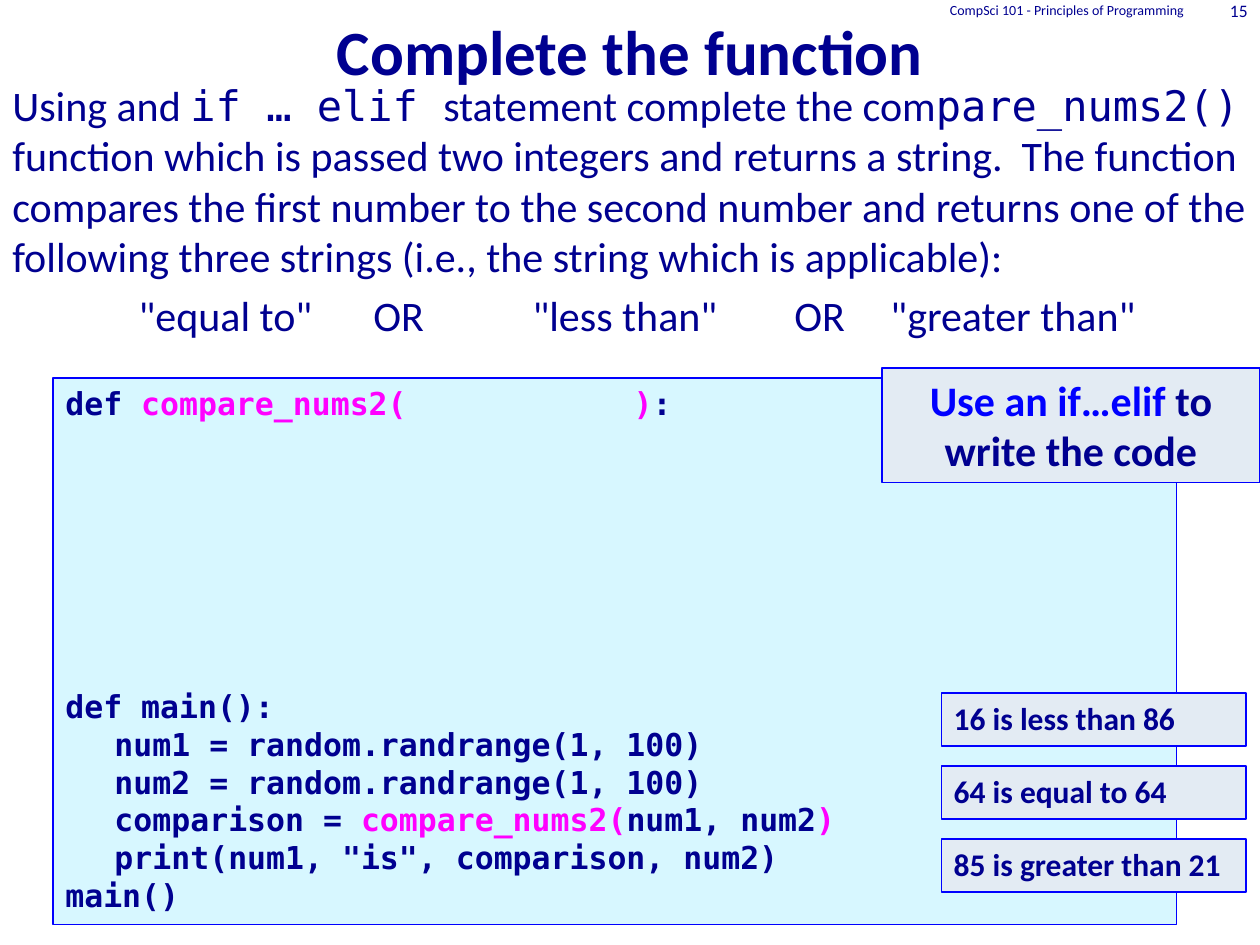
"""Build the slide of a compare_nums2() coding exercise."""
from dataclasses import dataclass

from lxml import etree
from pptx import Presentation
from pptx.dml.color import RGBColor
from pptx.enum.shapes import MSO_SHAPE
from pptx.enum.text import MSO_ANCHOR, MSO_AUTO_SIZE, PP_ALIGN
from pptx.oxml.ns import qn
from pptx.util import Inches, Pt

RECTANGLE = MSO_SHAPE.RECTANGLE
LEFT, CENTER, RIGHT = PP_ALIGN.LEFT, PP_ALIGN.CENTER, PP_ALIGN.RIGHT
TOP, MIDDLE, BOTTOM = MSO_ANCHOR.TOP, MSO_ANCHOR.MIDDLE, MSO_ANCHOR.BOTTOM
NO_FIT, GROW = MSO_AUTO_SIZE.NONE, MSO_AUTO_SIZE.SHAPE_TO_FIT_TEXT


@dataclass(frozen=True)
class Theme:
    prose: str = "Calibri"
    mono: str = "DejaVu Sans Mono"
    navy: str = "000090"
    blue: str = "0000FF"
    magenta: str = "FF00FF"
    code_fill: str = "D7F7FF"
    note_fill: str = "E3EBF3"
    title: float = 36
    body: float = 24
    code: float = 18
    number: float = 10
    footer: float = 8
    border: float = 0.75


THEME = Theme()


@dataclass(frozen=True)
class Box:
    left: float
    top: float
    width: float
    height: float


@dataclass(frozen=True)
class Span:
    text: str
    font: str = THEME.prose
    color: str = THEME.navy


@dataclass(frozen=True)
class Line:
    spans: tuple[Span, ...]
    tab: float = 0
    space_before: float = 0


def code(text: str, color: str = THEME.navy) -> Span:
    """Return a span in the code font."""
    return Span(text, THEME.mono, color)


def plain(text: str) -> list[Line]:
    """Return a single line of prose."""
    return [Line((Span(text),))]


def set_tab(paragraph, position: float) -> None:
    """Give a paragraph one left tab stop."""
    stops = etree.SubElement(paragraph._p.get_or_add_pPr(), qn("a:tabLst"))
    etree.SubElement(stops, qn("a:tab"), pos=str(Inches(position)), algn="l")


def add_text(slide, box: Box, lines: list[Line], *, size: float, bold: bool = False,
             align=LEFT, anchor=TOP, fit=NO_FIT, fill: str = "") -> None:
    """Draw lines of text, in a bordered rectangle when a fill is given."""
    place = [Inches(n) for n in (box.left, box.top, box.width, box.height)]
    if fill:
        holder = slide.shapes.add_shape(RECTANGLE, *place)
        holder.shadow.inherit = False
        holder.fill.solid()
        holder.fill.fore_color.rgb = RGBColor.from_string(fill)
        holder.line.color.rgb = RGBColor.from_string(THEME.blue)
        holder.line.width = Pt(THEME.border)
    else:
        holder = slide.shapes.add_textbox(*place)
    frame = holder.text_frame
    frame.word_wrap = True
    frame.auto_size = fit
    frame.vertical_anchor = anchor
    for index, line in enumerate(lines):
        paragraph = frame.add_paragraph() if index else frame.paragraphs[0]
        paragraph.alignment = align
        if line.space_before:
            paragraph.space_before = Pt(line.space_before)
        if line.tab:
            set_tab(paragraph, line.tab)
        for span in line.spans:
            run = paragraph.add_run()
            run.text = span.text
            run.font.name = span.font
            run.font.size = Pt(size)
            run.font.bold = bold
            run.font.color.rgb = RGBColor.from_string(span.color)


def add_heading(slide) -> None:
    """Draw the title, footer and slide number."""
    add_text(slide, Box(0, 0, 10, 0.75), plain("Complete the function"),
             size=THEME.title, bold=True, align=CENTER, anchor=BOTTOM)
    add_text(slide, Box(6.17, -0.17, 3.33, 0.5),
             plain("CompSci 101 - Principles of Programming"),
             size=THEME.footer, align=RIGHT, anchor=MIDDLE)
    add_text(slide, Box(9.42, 0, 0.58, 0.17), plain("15"),
             size=THEME.number, align=RIGHT, anchor=MIDDLE)


def add_task(slide) -> None:
    """Draw the exercise text and the three possible strings."""
    task = Line((
        Span("Using and "),
        code("if … elif "),
        Span("statement complete the com"),
        code("pare_nums2() "),
        Span("function which is passed two integers and returns a string.  "
             "The function compares the first number to the second number and "
             "returns one of the following three strings (i.e., the string "
             "which is applicable):"),
    ))
    add_text(slide, Box(0, 0.58, 10, 5.21), [task], size=THEME.body)
    choices = (
        ('"equal to"', 0.33, 2.92),
        ('"less than"', 3.5, 2.92),
        ('"greater than"', 6.58, 2.92),
        ("OR", 2.58, 1.17),
        ("OR", 5.92, 1.17),
    )
    for text, left, width in choices:
        add_text(slide, Box(left, 2.25, width, 0.5), plain(text),
                 size=THEME.body, align=CENTER, fit=GROW)


def add_program(slide) -> None:
    """Draw the code with room for the missing function body."""
    indent, bracket_stop, answer_room = 0.39, 4.51, 151.5
    program = [
        Line((code("def "), code("compare_nums2(\t)", THEME.magenta), code(":")),
             tab=bracket_stop),
        Line((code("def main():"),), space_before=answer_room),
        Line((code("\tnum1 = random.randrange(1, 100)"),), tab=indent),
        Line((code("\tnum2 = random.randrange(1, 100)"),), tab=indent),
        Line((code("\tcomparison = "), code("compare_nums2(", THEME.magenta),
              code("num1, num2"), code(")", THEME.magenta)), tab=indent),
        Line((code('\tprint(num1, "is", comparison, num2)'),), tab=indent),
        Line((code("main()"),)),
    ]
    add_text(slide, Box(0.42, 3, 8.92, 4.34), program, size=THEME.code,
             bold=True, fit=GROW, fill=THEME.code_fill)


def add_notes_on_code(slide) -> None:
    """Draw the hint and the sample outputs over the code."""
    hint = Line((Span("Use an if…elif ", color=THEME.blue), Span("to write the code")))
    add_text(slide, Box(7, 2.92, 3, 0.91), [hint], size=THEME.body, bold=True,
             align=CENTER, fit=GROW, fill=THEME.note_fill)
    first_top, pitch = 5.5, 0.58
    outputs = ("16 is less than 86", "64 is equal to 64", "85 is greater than 21")
    for row, output in enumerate(outputs):
        add_text(slide, Box(7.47, first_top + row * pitch, 2.42, 0.42), plain(output),
                 size=THEME.code, bold=True, fit=GROW, fill=THEME.note_fill)


def main() -> None:
    """Build and save the presentation."""
    deck = Presentation()
    deck.slide_width, deck.slide_height = Inches(10), Inches(7.5)
    slide = deck.slides.add_slide(deck.slide_layouts[6])
    add_heading(slide)
    add_task(slide)
    add_program(slide)
    add_notes_on_code(slide)
    deck.save("out.pptx")


if __name__ == "__main__":
    main()
